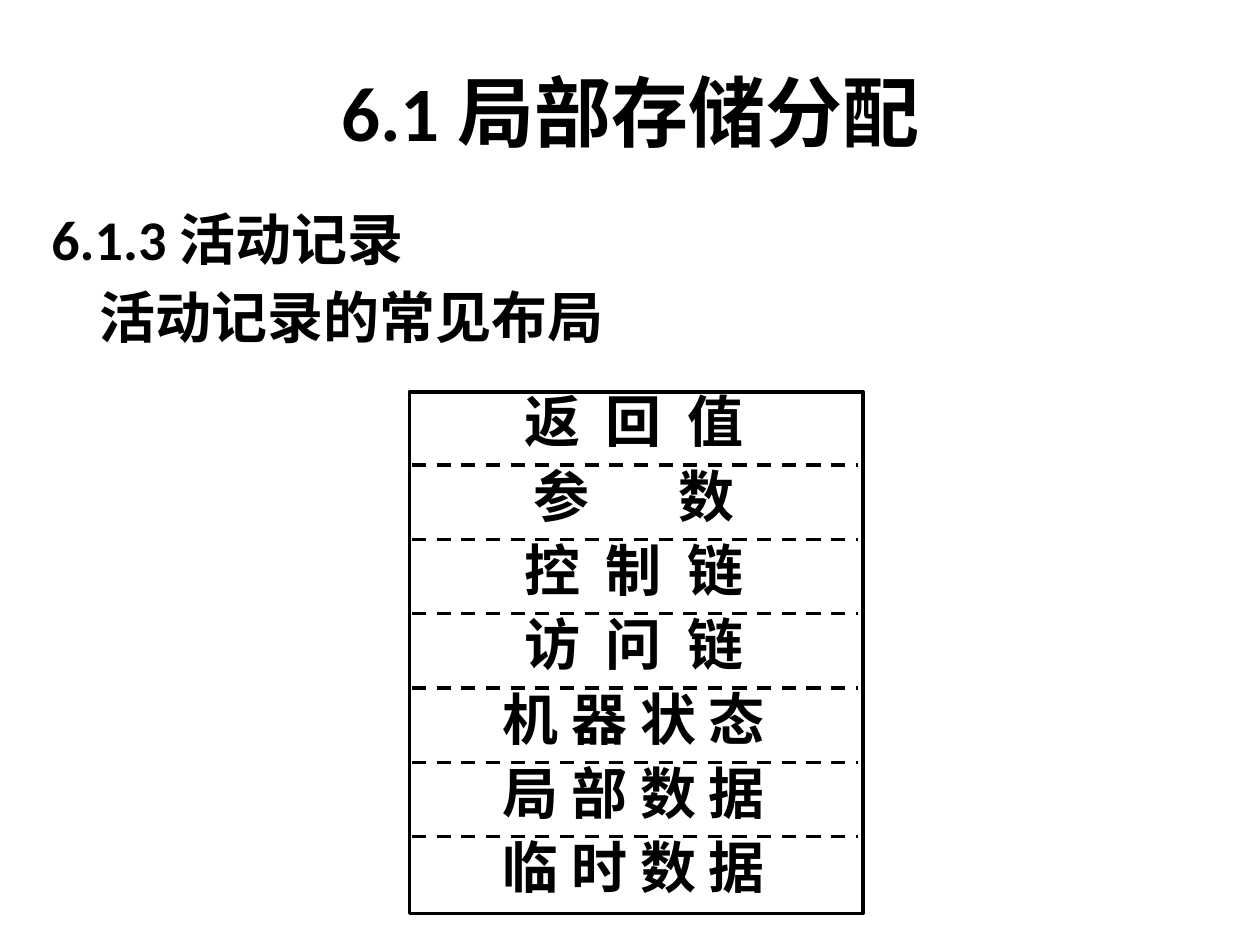
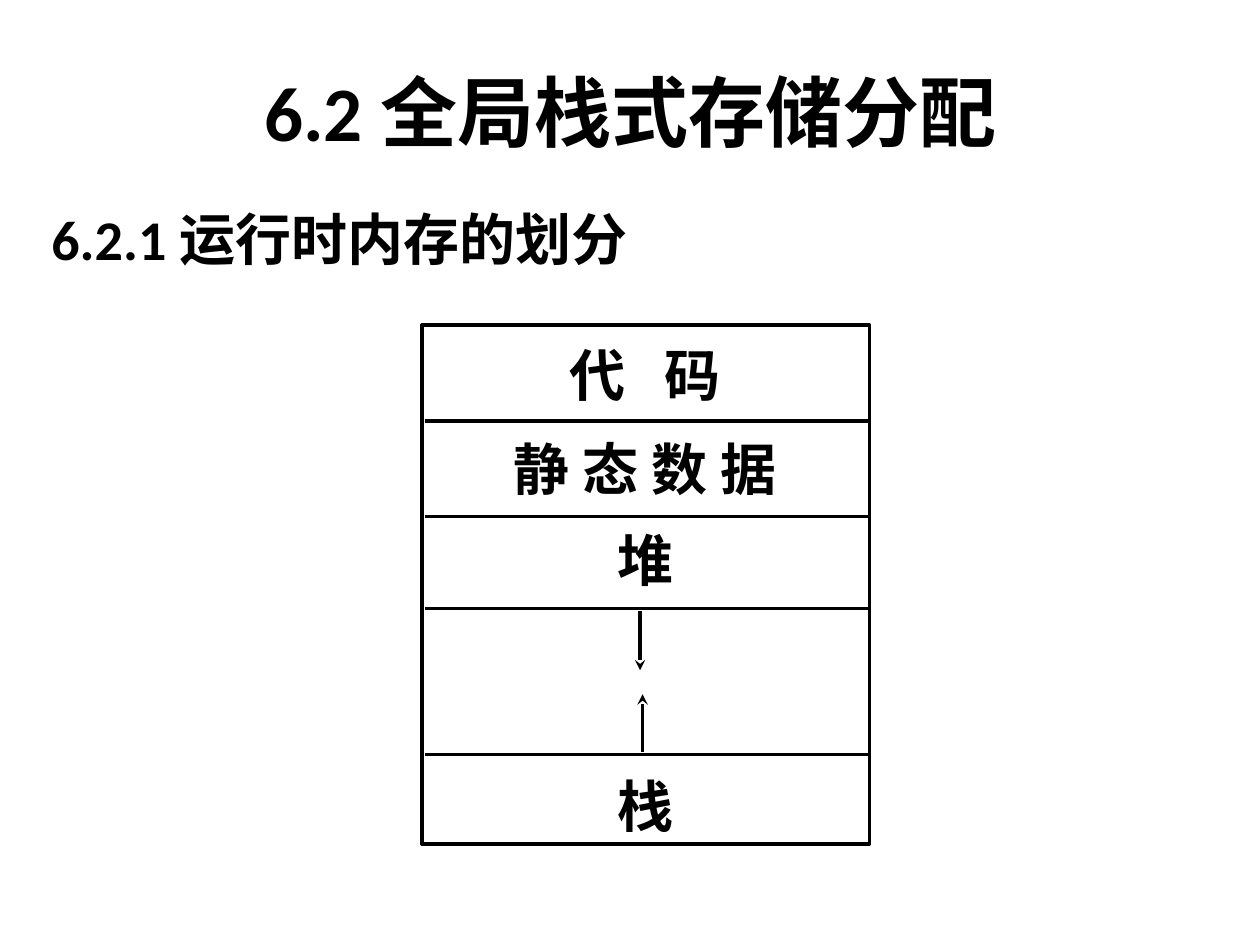
from dataclasses import dataclass

from lxml.etree import SubElement
from pptx import Presentation
from pptx.dml.color import RGBColor as Color
from pptx.enum.dml import MSO_LINE as Dash
from pptx.enum.shapes import MSO_CONNECTOR as Connector, MSO_SHAPE as Shape
from pptx.enum.text import MSO_ANCHOR as Anchor, PP_ALIGN as Align
from pptx.oxml.ns import qn
from pptx.util import Inches, Pt


@dataclass(frozen=True)
class Theme:
    """Colours, fonts and sizes shared by the slides."""
    ink: Color = Color(0, 0, 0)
    heading_font: str = "Calibri"
    label_font: str = "Times New Roman"
    title_size: int = 44
    text_size: int = 32
    line_width: int = 2
    space_width: float = 3.65


THEME = Theme()


def style_span(span, font_name, size):
    """Format one run in the bold house style."""
    span.font.name = font_name
    span.font.size = Pt(size)
    span.font.bold = True
    span.font.color.rgb = THEME.ink


def style_line(line, dash=None):
    """Give an outline or connector the common stroke."""
    line.color.rgb = THEME.ink
    line.width = Pt(THEME.line_width)
    if dash:
        line.dash_style = dash


def add_page(deck, title, lines):
    """Add a slide with its title and section heading lines."""
    page = deck.slides.add_slide(deck.slide_layouts[5])
    heading = page.shapes.title
    heading.left, heading.top = Inches(0.17), Inches(0.25)
    heading.width, heading.height = Inches(9.67), Inches(1.25)
    heading.text_frame.text = title
    heading.text_frame.vertical_anchor = Anchor.MIDDLE
    para = heading.text_frame.paragraphs[0]
    para.alignment = Align.CENTER
    style_span(para.runs[0], THEME.heading_font, THEME.title_size)
    add_body(page, lines)
    return page


def add_body(page, lines):
    """Add the section heading, with any further lines indented."""
    box = page.shapes.add_textbox(Inches(0.31), Inches(1.57), Inches(9.37), Inches(5.51))
    frame = box.text_frame
    frame.word_wrap = True
    frame.text = "\n".join(lines)
    for index, para in enumerate(frame.paragraphs):
        if index:
            para.space_before = Pt(6.4)
            para._p.get_or_add_pPr().set("marL", str(Inches(0.38)))
        style_span(para.runs[0], THEME.heading_font, THEME.text_size)


def add_frame(group, left, top, width, height):
    """Add the outline of a memory area."""
    frame = group.shapes.add_shape(
        Shape.RECTANGLE, Inches(left), Inches(top), Inches(width), Inches(height))
    frame.shadow.inherit = False
    frame.fill.background()
    style_line(frame.line)


def add_label(group, text, left, top, height, gap=1):
    """Add a centred label whose characters stand gap spaces apart."""
    box = group.shapes.add_textbox(Inches(left), Inches(top), Inches(3.38), Inches(height))
    frame = box.text_frame
    frame.word_wrap = True
    frame.margin_top = Inches(0.09)
    para = frame.paragraphs[0]
    para.alignment = Align.CENTER
    if len(text) > 1:
        spaced = para.add_run()
        spaced.text = text[:-1]
        spacing = (gap - 1) * THEME.space_width * 100
        spaced.font._element.set("spc", str(round(spacing)))
    para.add_run().text = text[-1]
    for span in para.runs:
        style_span(span, THEME.label_font, THEME.text_size)


def add_line(group, start, end, dash=None, arrow=False):
    """Add a straight line, with an arrowhead at its end if asked."""
    line = group.shapes.add_connector(
        Connector.STRAIGHT, *(Inches(value) for value in (*start, *end)))
    style_line(line.line, dash)
    if arrow:
        SubElement(line.line._get_or_add_ln(), qn("a:tailEnd"), type="stealth")
    SubElement(line._element.spPr, qn("a:effectLst"))


def draw_activation_record(page):
    """Draw the fields of an activation record at an equal pitch."""
    fields = [("返 回 值", 2), ("参 数", 7), ("控 制 链", 2), ("访 问 链", 2),
              ("机 器 状 态", 1), ("局 部 数 据", 1), ("临 时 数 据", 1)]
    first_top, pitch, height = 2.98, 0.59, 0.71
    group = page.shapes.add_group_shape()
    add_frame(group, 3.25, 3.11, 3.6, 4.14)
    for index, (text, gap) in enumerate(fields):
        top = first_top + index * pitch
        add_label(group, text, 3.34, top, height, gap)
        if index < len(fields) - 1:
            bottom = top + height
            add_line(group, (3.27, bottom), (6.81, bottom), Dash.DASH)


def draw_runtime_memory(page):
    """Draw the memory areas, with heap and stack growing together."""
    areas = [("代 码", 2.61, 3), ("静 态 数 据", 3.36, 1), ("堆", 4.08, 1), ("栈", 6.03, 1)]
    group = page.shapes.add_group_shape()
    add_frame(group, 3.35, 2.58, 3.55, 4.12)
    for text, top, gap in areas:
        add_label(group, text, 3.43, top, 0.65, gap)
    for border in (3.34, 4.1, 4.83, 5.99):
        add_line(group, (3.37, border), (6.89, border))
    add_line(group, (5.08, 4.85), (5.08, 5.32), arrow=True)
    add_line(group, (5.1, 5.97), (5.1, 5.51), arrow=True)


def main():
    """Build and save the deck."""
    deck = Presentation()
    deck.slide_width, deck.slide_height = Inches(10), Inches(7.5)
    draw_activation_record(
        add_page(deck, "6.1 局部存储分配", ["6.1.3 活动记录", "活动记录的常见布局"]))
    draw_runtime_memory(
        add_page(deck, "6.2 全局栈式存储分配", ["6.2.1 运行时内存的划分"]))
    deck.save("out.pptx")


if __name__ == "__main__":
    main()
